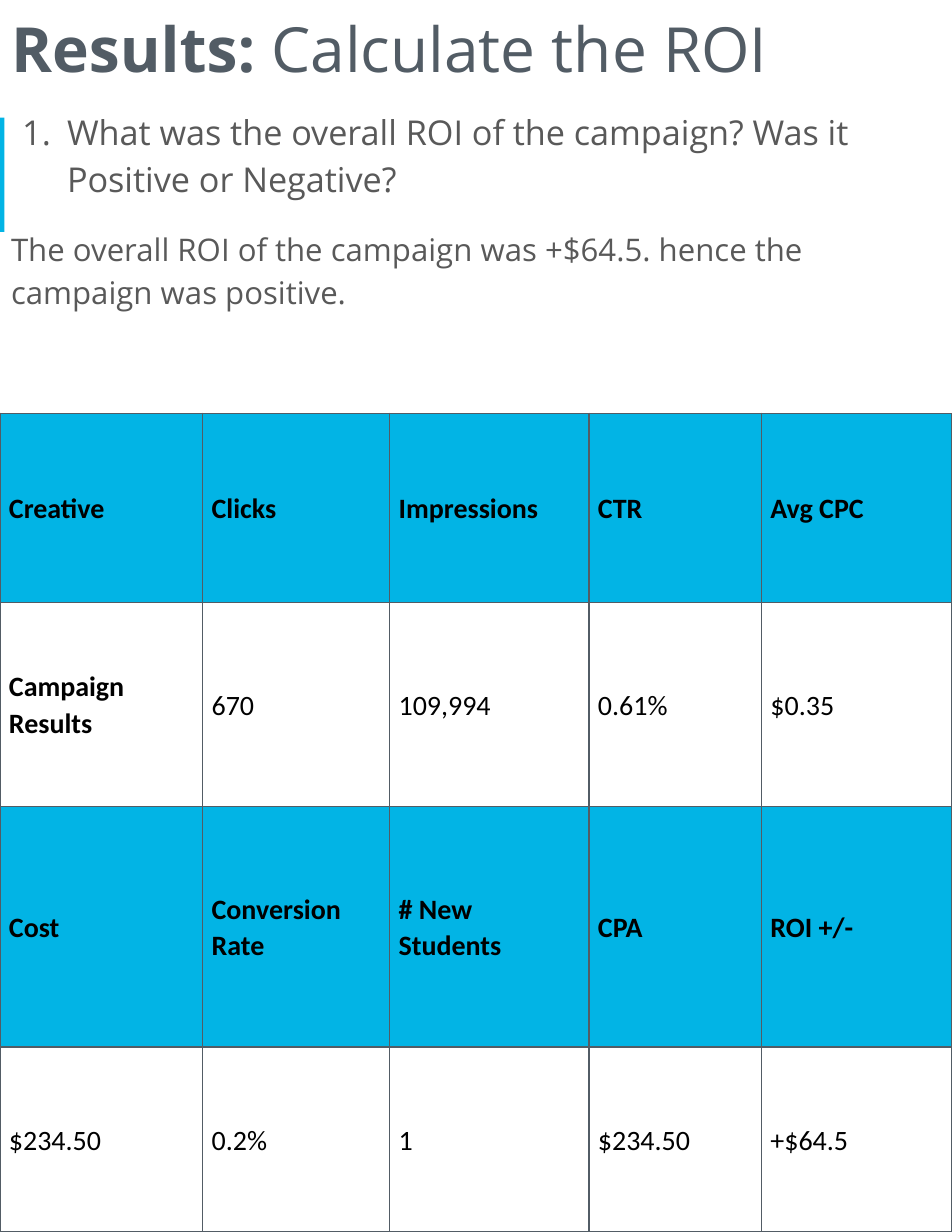
from typing import NamedTuple

from lxml.etree import SubElement
from pptx import Presentation
from pptx.dml.color import RGBColor
from pptx.enum.shapes import MSO_SHAPE
from pptx.enum.text import MSO_ANCHOR, MSO_AUTO_SIZE, PP_ALIGN
from pptx.oxml.ns import qn
from pptx.util import Emu, Inches, Pt

BLUE, SLATE, GREY, BLACK = "02B4E5", "525C65", "595959", "000000"
WIDE, HIGH = Inches(8.5), Inches(11)


class Box(NamedTuple):
    """Place and size in percent of the slide's width and height."""
    left: float
    top: float
    width: float
    height: float

    def emu(self) -> list[Emu]:
        return [Emu(round(part * side / 100))
                for part, side in zip(self, (WIDE, HIGH, WIDE, HIGH))]


class Row(NamedTuple):
    height: float
    cells: tuple[str, ...]
    head: bool = False
    lead: bool = False  # bold first cell


TITLE = Box(0, -1, 93.18, 11.09)
BODY = Box(0, 7.64, 93.88, 66.45)
BAR = Box(0, 9.55, 0.47, 9.27)
GRID = Box(0, 33.55, 100, 66.45)
COLS = (21.29, 19.65, 20.94, 18.12, 20)
ROWS = (
    Row(15.34, ("Creative", "Clicks", "Impressions", "CTR", "Avg CPC"), head=True),
    Row(16.55, ("Campaign Results", "670", "109,994", "0.61%", "$0.35"), lead=True),
    Row(19.56, ("Cost", "Conversion Rate", "# New Students", "CPA", "ROI +/-"), head=True),
    Row(15, ("$234.50", "0.2%", "1", "$234.50", "+$64.5")),
)


def tint(code: str) -> RGBColor:
    return RGBColor.from_string(code)


def style(run, size: float, face: str, color: str, bold: bool = False) -> None:
    font = run.font
    font.size, font.name, font.bold = Pt(size), face, bold
    font.color.rgb = tint(color)


def frame(shape):
    """Set up the text frame that title and body share."""
    text = shape.text_frame
    text.word_wrap = True
    text.auto_size = MSO_AUTO_SIZE.NONE
    text.vertical_anchor = MSO_ANCHOR.TOP
    text.margin_left = text.margin_right = Inches(0.1)
    text.margin_top = text.margin_bottom = Inches(0.1)
    return text


def number(para) -> None:
    props = para._p.get_or_add_pPr()
    props.set("marL", str(Inches(0.5)))
    props.set("indent", str(-Inches(0.4)))
    color = SubElement(props, qn("a:buClr"))
    SubElement(color, qn("a:srgbClr"), val=GREY)
    SubElement(props, qn("a:buFont"), typeface="Open Sans")
    SubElement(props, qn("a:buAutoNum"), type="arabicPeriod")


def border(cell) -> None:
    props = cell._tc.get_or_add_tcPr()
    for side in ("lnL", "lnR", "lnT", "lnB"):
        line = SubElement(props, qn(f"a:{side}"), w=str(Pt(1)))
        fill = SubElement(line, qn("a:solidFill"))
        SubElement(fill, qn("a:srgbClr"), val=SLATE)


def add_title(slide) -> None:
    title = slide.shapes.title
    title.left, title.top, title.width, title.height = TITLE.emu()
    para = frame(title).paragraphs[0]
    para.alignment, para.line_spacing = PP_ALIGN.LEFT, 1.15
    for words, bold in (("Results: ", True), ("Calculate the ROI", False)):
        run = para.add_run()
        run.text = words
        style(run, 40, "Open Sans", SLATE, bold)


def add_bar(slide) -> None:
    bar = slide.shapes.add_shape(MSO_SHAPE.RECTANGLE, *BAR.emu())
    bar.shadow.inherit = False
    bar.fill.solid()
    bar.fill.fore_color.rgb = tint(BLUE)
    bar.line.fill.background()


def add_body(slide) -> None:
    text = frame(slide.shapes.add_textbox(*BODY.emu()))
    ask = text.paragraphs[0]
    ask.text = "What was the overall ROI of the campaign? Was it Positive or Negative?"
    number(ask)
    reply = text.add_paragraph()
    reply.text = "The overall ROI of the campaign was +$64.5. hence the campaign was positive."
    reply.space_before = reply.space_after = Pt(16)
    for para, size in ((ask, 22), (reply, 20)):
        para.line_spacing = 1.15
        style(para.runs[0], size, "Open Sans", GREY)


def fill_cell(cell, words: str, head: bool, bold: bool) -> None:
    cell.vertical_anchor = MSO_ANCHOR.MIDDLE
    cell.margin_left = cell.margin_right = Inches(0.08)
    cell.margin_top = cell.margin_bottom = Inches(0.19)
    border(cell)
    if head:
        cell.fill.solid()
        cell.fill.fore_color.rgb = tint(BLUE)
    else:
        cell.fill.background()
    para = cell.text_frame.paragraphs[0]
    para.text = words
    para.line_spacing, para.space_after = 1.07, Pt(8)
    style(para.runs[0], 18, "Calibri", BLACK, bold)


def add_grid(slide) -> None:
    table = slide.shapes.add_table(len(ROWS), len(COLS), *GRID.emu()).table
    table.first_row = table.horz_banding = False
    for col, share in zip(table.columns, COLS):
        col.width = Emu(round(WIDE * share / 100))
    for r, row in enumerate(ROWS):
        table.rows[r].height = Emu(round(HIGH * row.height / 100))
        for c, words in enumerate(row.cells):
            bold = row.head or (row.lead and c == 0)
            fill_cell(table.cell(r, c), words, row.head, bold)


def main() -> None:
    deck = Presentation()
    deck.slide_width, deck.slide_height = WIDE, HIGH
    slide = deck.slides.add_slide(deck.slide_layouts.get_by_name("Title Only"))
    add_bar(slide)
    add_title(slide)
    add_body(slide)
    add_grid(slide)
    deck.save("out.pptx")


if __name__ == "__main__":
    main()
